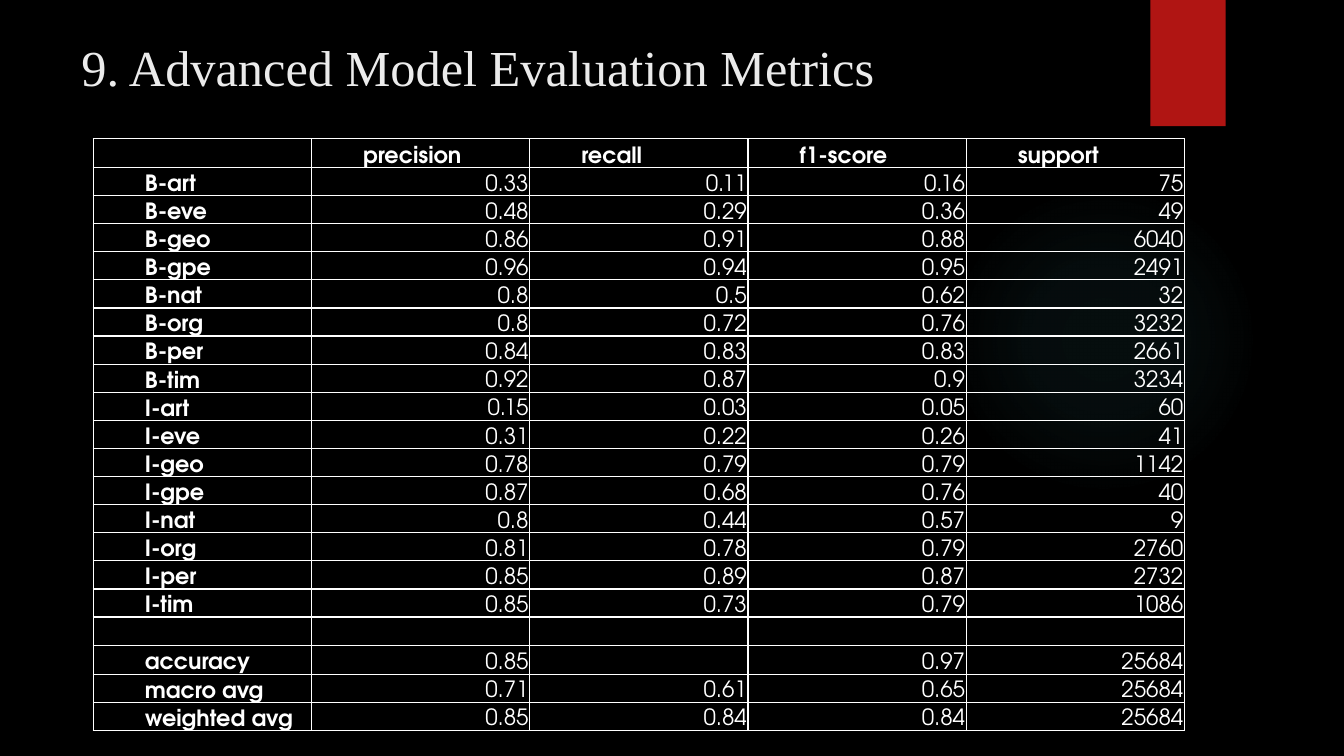
from lxml import etree
from pptx import Presentation
from pptx.dml.color import RGBColor
from pptx.enum.shapes import MSO_SHAPE
from pptx.enum.text import MSO_ANCHOR, PP_ALIGN
from pptx.oxml import parse_xml
from pptx.oxml.ns import nsdecls, qn
from pptx.util import Cm, Pt

OVAL = MSO_SHAPE.OVAL
RECTANGLE = MSO_SHAPE.RECTANGLE
MIDDLE = MSO_ANCHOR.MIDDLE
BOTTOM = MSO_ANCHOR.BOTTOM
RIGHT = PP_ALIGN.RIGHT

HEADINGS = ["", "precision", "recall", "f1-score", "support"]
SCORES = [
    ["B-art", "0.33", "0.11", "0.16", "75"],
    ["B-eve", "0.48", "0.29", "0.36", "49"],
    ["B-geo", "0.86", "0.91", "0.88", "6040"],
    ["B-gpe", "0.96", "0.94", "0.95", "2491"],
    ["B-nat", "0.8", "0.5", "0.62", "32"],
    ["B-org", "0.8", "0.72", "0.76", "3232"],
    ["B-per", "0.84", "0.83", "0.83", "2661"],
    ["B-tim", "0.92", "0.87", "0.9", "3234"],
    ["I-art", "0.15", "0.03", "0.05", "60"],
    ["I-eve", "0.31", "0.22", "0.26", "41"],
    ["I-geo", "0.78", "0.79", "0.79", "1142"],
    ["I-gpe", "0.87", "0.68", "0.76", "40"],
    ["I-nat", "0.8", "0.44", "0.57", "9"],
    ["I-org", "0.81", "0.78", "0.79", "2760"],
    ["I-per", "0.85", "0.89", "0.87", "2732"],
    ["I-tim", "0.85", "0.73", "0.79", "1086"],
    ["", "", "", "", ""],
    ["accuracy", "0.85", "", "0.97", "25684"],
    ["macro avg", "0.71", "0.61", "0.65", "25684"],
    ["weighted avg", "0.85", "0.84", "0.84", "25684"],
]


def color(value):
    return RGBColor.from_string(value)


class MetricsSlide:
    background = "000000"
    accent = "B01513"
    glow_color = "50B9C1"
    title_color = "EBEBEB"
    table_color = "FFFFFF"
    title_font = "Times New Roman"
    table_font = "TeX Gyre Adventor"

    def __init__(self, deck):
        self.slide = deck.slides.add_slide(deck.slide_layouts[6])
        fill = self.slide.background.fill
        fill.solid()
        fill.fore_color.rgb = color(self.background)

    def shape(self, kind, left, top, width, height):
        shape = self.slide.shapes.add_shape(kind, Cm(left), Cm(top), Cm(width), Cm(height))
        shape.shadow.inherit = False
        shape.line.fill.background()
        return shape

    def glow(self, left, top, size):
        glow = self.shape(OVAL, left, top, size, size)
        stops = "".join(
            f'<a:gs pos="{position * 1000}"><a:srgbClr val="{self.glow_color}">'
            f'<a:alpha val="{alpha * 1000}"/></a:srgbClr></a:gs>'
            for position, alpha in [(0, 7), (36, 6), (69, 0)]
        )
        gradient = parse_xml(
            f'<a:gradFill {nsdecls("a")} rotWithShape="1"><a:gsLst>{stops}</a:gsLst>'
            '<a:path path="circle"><a:fillToRect l="50000" t="50000" r="50000" b="50000"/>'
            "</a:path></a:gradFill>"
        )
        glow.element.spPr.find(qn("a:prstGeom")).addnext(gradient)

    def ribbon(self, left, top, width, height):
        ribbon = self.shape(RECTANGLE, left, top, width, height)
        ribbon.fill.solid()
        ribbon.fill.fore_color.rgb = color(self.accent)

    def title(self, text, left, top, width, height):
        frame = self.slide.shapes.add_textbox(Cm(left), Cm(top), Cm(width), Cm(height)).text_frame
        frame.word_wrap = True
        frame.vertical_anchor = MIDDLE
        frame.text = text
        self.style(frame.paragraphs[0], self.title_font, 36, self.title_color)

    def style(self, paragraph, font_name, size, font_color, bold=False):
        for run in paragraph.runs:
            run.font.name = font_name
            run.font.size = Pt(size)
            run.font.bold = bold
            run.font.color.rgb = color(font_color)

    def table(self, rows, left, top, column_width, row_height, gap_row_height):
        heights = [Cm(row_height if all(row) else gap_row_height) for row in rows]
        columns = len(rows[0])
        table = self.slide.shapes.add_table(
            len(rows), columns, Cm(left), Cm(top), Cm(column_width * columns), sum(heights)
        ).table
        table.first_row = table.horz_banding = False
        for column in table.columns:
            column.width = Cm(column_width)
        for r, values in enumerate(rows):
            table.rows[r].height = heights[r]
            for c, value in enumerate(values):
                self.cell(table.cell(r, c), value, heading=r == 0 or c == 0)

    def cell(self, cell, value, heading):
        cell.fill.background()
        cell.vertical_anchor = BOTTOM
        cell.margin_left = cell.margin_right = cell.margin_top = Cm(0.03)
        cell.margin_bottom = 0
        self.borders(cell)
        paragraph = cell.text_frame.paragraphs[0]
        if not value:
            etree.SubElement(paragraph._p, qn("a:endParaRPr"), sz="1600")
            return
        paragraph.text = value
        if heading:
            paragraph.level = 1
            properties = paragraph._p.get_or_add_pPr()
            properties.set("marL", str(Cm(1.27)))
            properties.set("indent", "0")
        else:
            paragraph.alignment = RIGHT
        self.style(paragraph, self.table_font, 16, self.table_color, heading)

    def borders(self, cell):
        properties = cell._tc.get_or_add_tcPr()
        for index, side in enumerate("LRTB"):
            line = parse_xml(
                f'<a:ln{side} {nsdecls("a")} w="{Pt(1)}"><a:solidFill>'
                f'<a:srgbClr val="{self.table_color}"/></a:solidFill></a:ln{side}>'
            )
            properties.insert(index, line)


def main():
    deck = Presentation()
    deck.slide_width = Cm(33.87)
    deck.slide_height = Cm(19.05)
    metrics = MetricsSlide(deck)
    metrics.glow(23.9, 4.65, 7.82)
    metrics.ribbon(28.99, 0, 1.9, 3.18)
    metrics.title("9. Advanced Model Evaluation Metrics", 1.8, 0.64, 27.76, 2.08)
    metrics.table([HEADINGS] + SCORES, 2.35, 3.5, 5.5, 0.67, 0.72)
    deck.save("out.pptx")


if __name__ == "__main__":
    main()
